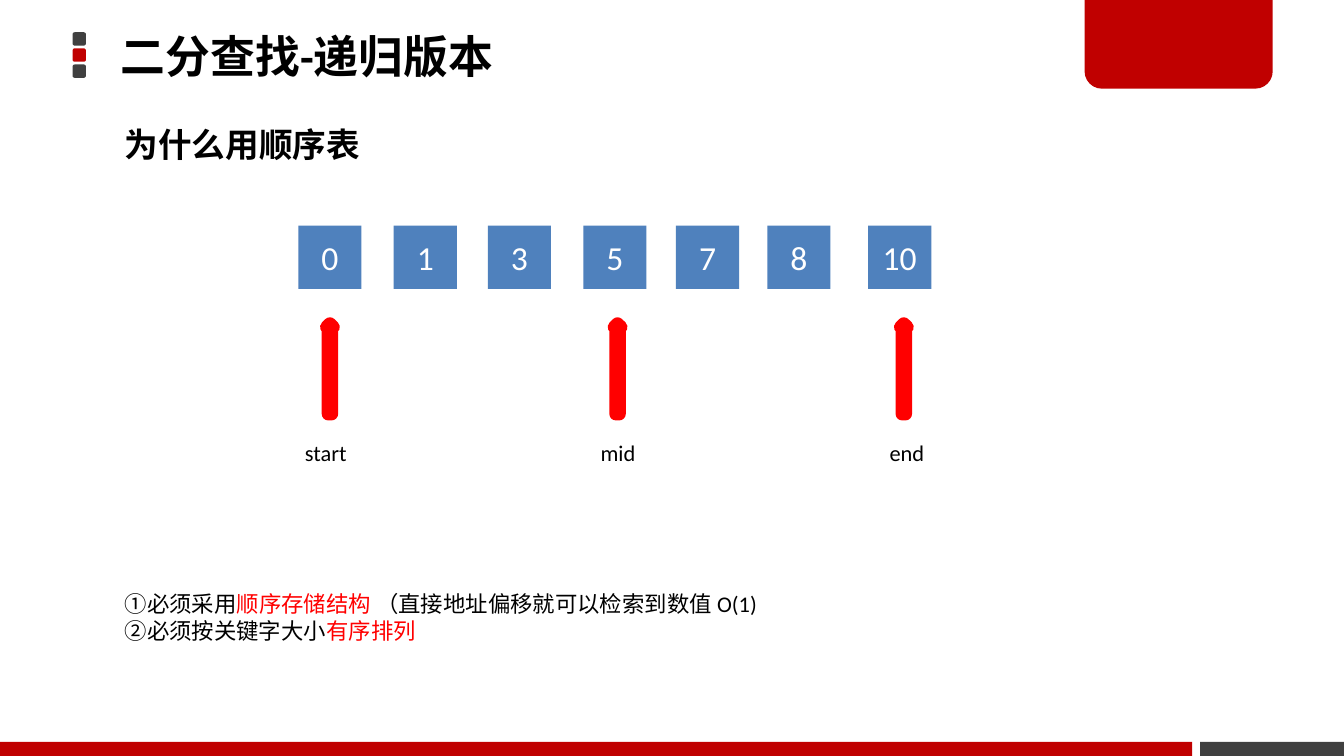
from pptx import Presentation
from pptx.dml.color import RGBColor
from pptx.enum.shapes import MSO_SHAPE as Preset
from pptx.enum.text import MSO_ANCHOR as Anchor, MSO_AUTO_SIZE as AutoSize, PP_ALIGN as Align
from pptx.util import Inches, Pt

SLIDE_WIDTH = 10
SLIDE_HEIGHT = SLIDE_WIDTH * 9 / 16
RED, GREY, BLUE = "C00000", "404040", "4F81BD"
BRIGHT_RED, BLACK, WHITE = "FF0000", "000000", "FFFFFF"
FONT = "Calibri"


def color(value):
    return RGBColor.from_string(value)


def add_block(slide, preset, left, top, width, height, fill):
    shape = slide.shapes.add_shape(
        preset, Inches(left), Inches(top), Inches(width), Inches(height))
    shape.shadow.inherit = False
    shape.fill.solid()
    shape.fill.fore_color.rgb = color(fill)
    shape.line.fill.background()
    return shape


def add_run(paragraph, text, size, text_color=BLACK, bold=False):
    run = paragraph.add_run()
    run.text = text
    run.font.name = FONT
    run.font.size = Pt(size)
    run.font.bold = bold
    run.font.color.rgb = color(text_color)


def add_text(slide, left, top, width, height, lines, size, bold=False):
    """Each line is a list of (text, color) runs."""
    box = slide.shapes.add_textbox(
        Inches(left), Inches(top), Inches(width), Inches(height))
    frame = box.text_frame
    frame.word_wrap = False
    frame.auto_size = AutoSize.SHAPE_TO_FIT_TEXT
    for index, runs in enumerate(lines):
        paragraph = frame.add_paragraph() if index else frame.paragraphs[0]
        for text, text_color in runs:
            add_run(paragraph, text, size, text_color, bold)
    return box


def add_decoration(slide, width, height):
    for index, fill in enumerate((GREY, RED, GREY)):
        add_block(slide, Preset.ROUNDED_RECTANGLE,
                  0.54, 0.24 + 0.12 * index, 0.1, 0.1, fill)
    tab = add_block(slide, Preset.ROUND_2_SAME_RECTANGLE,
                    width - 1.93, -0.02, 1.4, 0.68, RED)
    tab.adjustments[0] = 0
    tab.adjustments[1] = 0.19
    bar_top = 5.52
    bar_height = height - bar_top
    add_block(slide, Preset.RECTANGLE, 0, bar_top, 8.87, bar_height, RED)
    add_block(slide, Preset.RECTANGLE, 8.93, bar_top, width - 8.93, bar_height, GREY)


def add_title(slide, left, top, width, height, text):
    box = add_text(slide, left, top, width, height, [[(text, BLACK)]], 24, bold=True)
    frame = box.text_frame
    frame.auto_size = AutoSize.NONE
    frame.word_wrap = True
    frame.vertical_anchor = Anchor.MIDDLE
    frame.margin_left = frame.margin_right = Inches(0.07)
    frame.margin_top = frame.margin_bottom = Inches(0.04)
    frame.paragraphs[0].line_spacing = 0.9


def add_array(slide, left, top, size, cells):
    """Each cell is a (value, offset from the left edge) pair."""
    for value, offset in cells:
        cell = add_block(slide, Preset.RECTANGLE, left + offset, top, size, size, BLUE)
        frame = cell.text_frame
        frame.vertical_anchor = Anchor.MIDDLE
        paragraph = frame.paragraphs[0]
        paragraph.alignment = Align.CENTER
        add_run(paragraph, value, 18, WHITE)


def add_pointer(slide, left, top, label, label_offset, label_width):
    arrow = add_block(slide, Preset.UP_ARROW, left, top, 0.05, 0.67, WHITE)
    arrow.fill.background()
    arrow.line.color.rgb = color(BRIGHT_RED)
    arrow.line.width = Pt(7)
    add_text(slide, left + label_offset, top + 0.81, label_width, 0.3,
             [[(label, BLACK)]], 12)


def main():
    presentation = Presentation()
    presentation.slide_width = Inches(SLIDE_WIDTH)
    presentation.slide_height = Inches(SLIDE_HEIGHT)
    slide = presentation.slides.add_slide(presentation.slide_layouts[6])

    add_decoration(slide, SLIDE_WIDTH, SLIDE_HEIGHT)
    add_title(slide, 0.83, -0.01, 5.89, 0.89, "二分查找-递归版本")
    add_text(slide, 0.83, 0.87, 1.97, 0.4, [[("为什么用顺序表", BLACK)]], 18, bold=True)

    add_array(slide, 2.22, 1.68, 0.47, [
        ("0", 0), ("1", 0.71), ("3", 1.41), ("5", 2.12),
        ("7", 2.81), ("8", 3.49), ("10", 4.24)])
    for left, label, label_offset, label_width in (
            (2.43, "start", -0.26, 0.57),
            (4.57, "mid", -0.2, 0.51),
            (6.7, "end", -0.18, 0.51)):
        add_pointer(slide, left, 2.41, label, label_offset, label_width)

    add_text(slide, 0.83, 4.34, 5, 0.5, [
        [("①必须采用", BLACK), ("顺序存储结构 ", BRIGHT_RED),
         ("（直接地址偏移就可以检索到数值 O(1)", BLACK)],
        [("②必须按关键字大小", BLACK), ("有序排列", BRIGHT_RED)]], 12)

    presentation.save("out.pptx")


if __name__ == "__main__":
    main()
